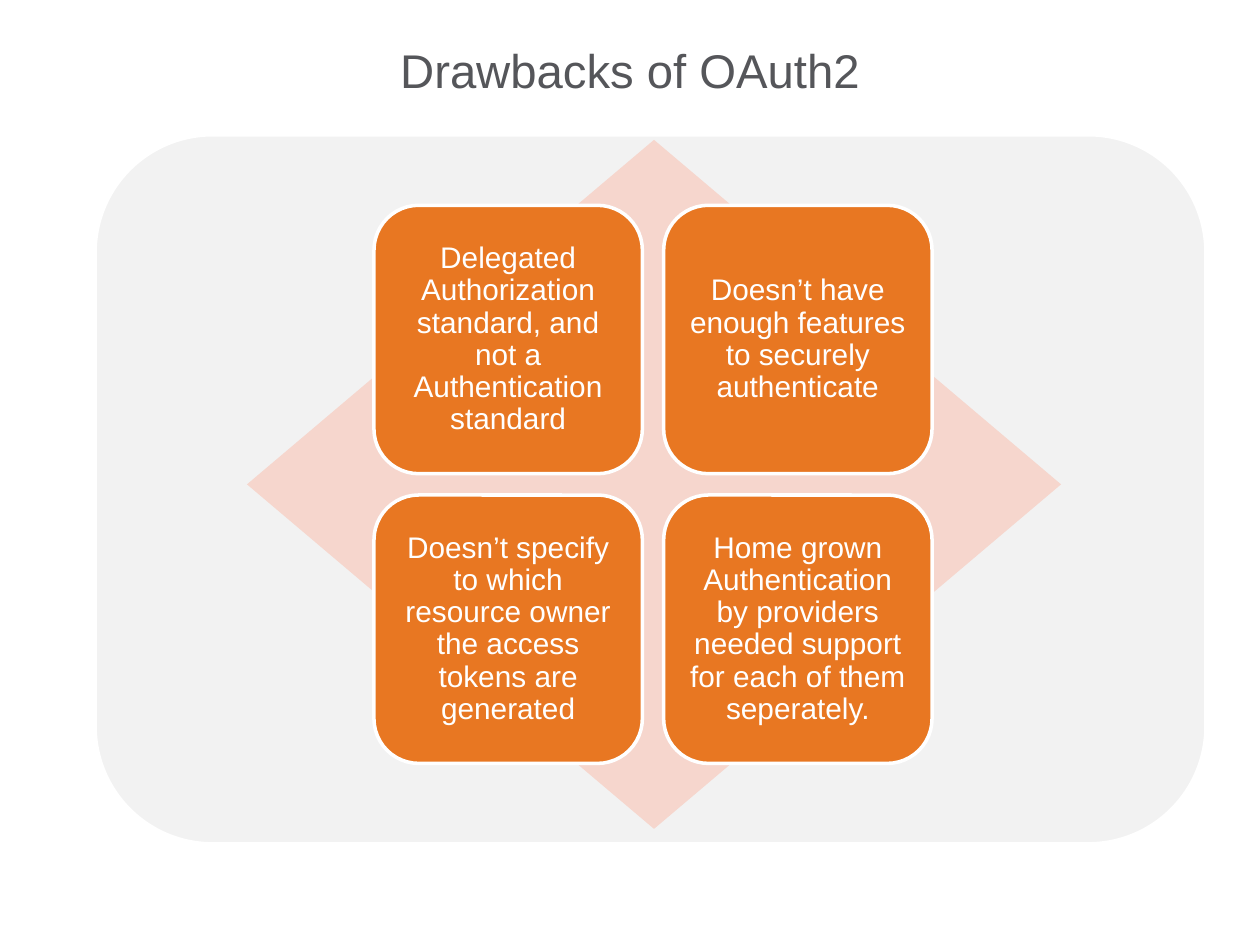
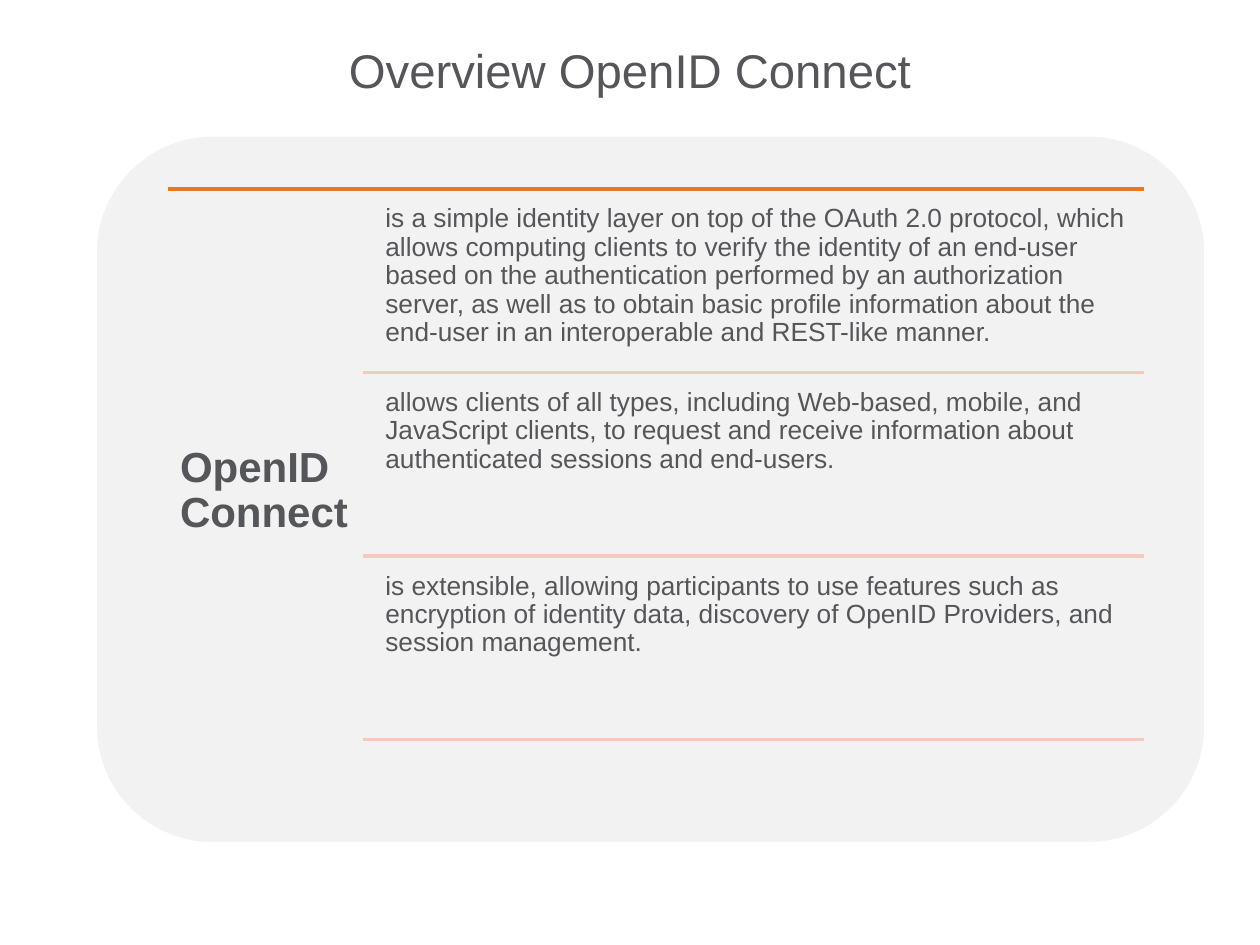
from dataclasses import dataclass
from itertools import product

from lxml import etree
from pptx import Presentation
from pptx.dml.color import RGBColor
from pptx.enum.shapes import MSO_CONNECTOR as Connector, MSO_SHAPE as Shape
from pptx.enum.text import MSO_ANCHOR as Anchor, PP_ALIGN as Align
from pptx.oxml.ns import qn
from pptx.shapes.autoshape import Shape as AutoShape
from pptx.slide import Slide
from pptx.util import Cm, Pt

# Shared colours and font
WHITE = RGBColor(0xFF, 0xFF, 0xFF)
GREY = RGBColor(0x55, 0x56, 0x5A)
PANEL_GREY = RGBColor(0xF2, 0xF2, 0xF2)
ORANGE = RGBColor(0xE8, 0x77, 0x22)
PINK = RGBColor(0xF6, 0xD6, 0xCD)
RULE_PINK = RGBColor(0xF4, 0xCA, 0xBD)
FONT = "Arial"

DRAWBACKS = (
    "Delegated Authorization standard, and not a Authentication standard",
    "Doesn’t have enough features to securely authenticate",
    "Doesn’t specify to which resource owner the access tokens are generated",
    "Home grown Authentication by providers needed support for each of them seperately.",
)
FEATURES = (
    "is a simple identity layer on top of the OAuth 2.0 protocol, which allows "
    "computing clients to verify the identity of an end-user based on the "
    "authentication performed by an authorization server, as well as to obtain "
    "basic profile information about the end-user in an interoperable and "
    "REST-like manner.",
    "allows clients of all types, including Web-based, mobile, and JavaScript "
    "clients, to request and receive information about authenticated sessions "
    "and end-users.",
    "is extensible, allowing participants to use features such as encryption of "
    "identity data, discovery of OpenID Providers, and session management.",
)


@dataclass(frozen=True)
class Box:
    """Position and size in centimetres."""
    left: float
    top: float
    width: float
    height: float

    def lengths(self) -> tuple[Cm, Cm, Cm, Cm]:
        return Cm(self.left), Cm(self.top), Cm(self.width), Cm(self.height)


@dataclass(frozen=True)
class TextStyle:
    size: int
    colour: RGBColor = GREY
    bold: bool = False
    align: Align = Align.LEFT
    anchor: Anchor = Anchor.TOP
    inset: float = 0
    line_spacing: float = 0.9


TITLE_STYLE = TextStyle(27, align=Align.CENTER, anchor=Anchor.BOTTOM, line_spacing=1.0)
TILE_STYLE = TextStyle(17, WHITE, align=Align.CENTER, anchor=Anchor.MIDDLE, inset=0.18)
LABEL_STYLE = TextStyle(24, bold=True, anchor=Anchor.MIDDLE, inset=0.25)
FEATURE_STYLE = TextStyle(15, inset=0.15)

TITLE_BOX = Box(1.27, 0.76, 22.86, 1.22)
PANEL_BOX = Box(1.9, 2.7, 22.43, 14.33)


def write_text(shape: AutoShape, text: str, style: TextStyle) -> None:
    frame = shape.text_frame
    frame.text = text
    frame.word_wrap = True
    frame.vertical_anchor = style.anchor
    frame.margin_left = frame.margin_right = Cm(style.inset)
    frame.margin_top = frame.margin_bottom = Cm(style.inset)
    for paragraph in frame.paragraphs:
        paragraph.alignment = style.align
        paragraph.line_spacing = style.line_spacing
        for run in paragraph.runs:
            run.font.name = FONT
            run.font.size = Pt(style.size)
            run.font.bold = style.bold
            run.font.color.rgb = style.colour


def add_text(slide: Slide, box: Box, text: str, style: TextStyle) -> AutoShape:
    text_box = slide.shapes.add_textbox(*box.lengths())
    write_text(text_box, text, style)
    return text_box


def add_filled(slide: Slide, kind: Shape, box: Box, fill: RGBColor,
               outline: float = 0) -> AutoShape:
    shape = slide.shapes.add_shape(kind, *box.lengths())
    shape.shadow.inherit = False
    shape.fill.solid()
    shape.fill.fore_color.rgb = fill
    if outline:
        shape.line.color.rgb = WHITE
        shape.line.width = Pt(outline)
    else:
        shape.line.fill.background()
    return shape


def add_rule(slide: Slide, left: float, right: float, top: float,
             colour: RGBColor) -> None:
    rule = slide.shapes.add_connector(
        Connector.STRAIGHT, Cm(left), Cm(top), Cm(right), Cm(top))
    rule.line.color.rgb = colour
    rule.line.width = Pt(2)
    etree.SubElement(rule.element.spPr, qn("a:effectLst"))


def add_base_slide(presentation: Presentation, title: str) -> Slide:
    """Add a slide with the title and grey panel that all slides share."""
    slide = presentation.slides.add_slide(presentation.slide_layouts[6])
    add_text(slide, TITLE_BOX, title, TITLE_STYLE)
    add_filled(slide, Shape.ROUNDED_RECTANGLE, PANEL_BOX, PANEL_GREY, outline=3)
    return slide


def build_drawbacks(presentation: Presentation) -> None:
    slide = add_base_slide(presentation, "Drawbacks of OAuth2")
    add_filled(slide, Shape.DIAMOND, Box(4.98, 2.82, 16.41, 13.89), PINK)

    # Two by two grid of tiles
    left, top, size, pitch = 7.54, 4.14, 5.41, 5.84
    for (row, column), text in zip(product(range(2), repeat=2), DRAWBACKS):
        box = Box(left + column * pitch, top + row * pitch, size, size)
        tile = add_filled(slide, Shape.ROUNDED_RECTANGLE, box, ORANGE, outline=2)
        write_text(tile, text, TILE_STYLE)


def build_overview(presentation: Presentation) -> None:
    slide = add_base_slide(presentation, "Overview OpenID Connect")
    left, right, top = 3.38, 23.06, 3.81
    label_width, row_pitch = 3.94, 3.7

    # Heading rule and label, set a little below the middle
    add_rule(slide, left, right, top, ORANGE)
    label = add_text(slide, Box(left, top, label_width, 11.28),
                     "OpenID Connect", LABEL_STYLE)
    label.text_frame.margin_top = Cm(1.15)

    # Feature rows, each closed by a rule
    text_left = left + label_width + 0.3
    for index, text in enumerate(FEATURES):
        row_top = top + index * row_pitch
        box = Box(text_left, row_top + 0.18, right - text_left, 3.53)
        add_text(slide, box, text, FEATURE_STYLE)
        add_rule(slide, left + label_width, right, row_top + row_pitch, RULE_PINK)


def main() -> None:
    presentation = Presentation()
    presentation.slide_width = Cm(25.4)
    presentation.slide_height = Cm(19.05)
    build_drawbacks(presentation)
    build_overview(presentation)
    presentation.save("out.pptx")


if __name__ == "__main__":
    main()
